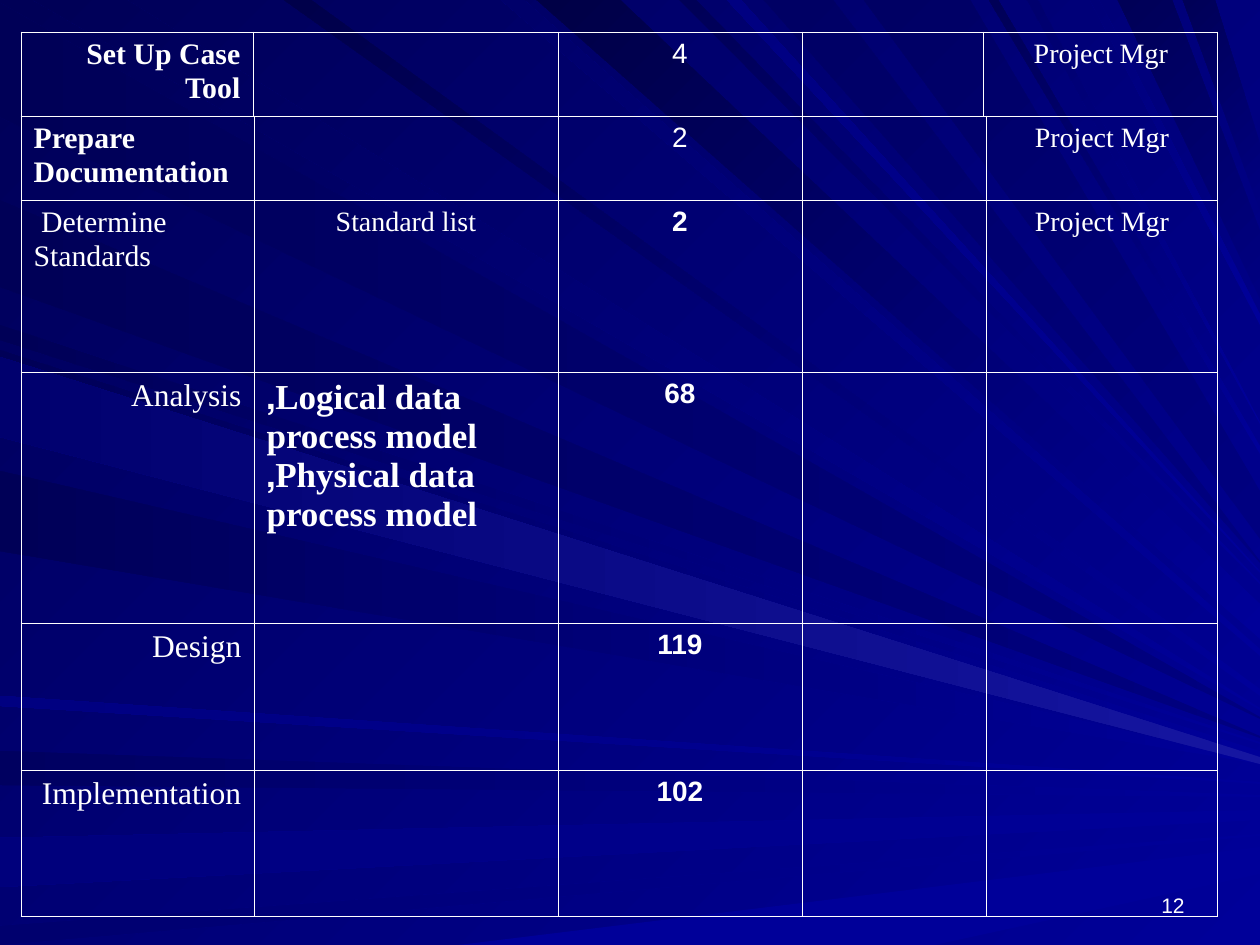
"""Build a project schedule slide with two tables over a field of blue rays."""
from typing import NamedTuple

from lxml import etree
from pptx import Presentation, util as u
from pptx.dml.color import RGBColor
from pptx.enum import text
from pptx.oxml.ns import qn

EMU_PER_PX = 914400 / 126
WIDTH, HEIGHT = 1260, 945
WHITE, BRIGHT, DARK = "FFFFFF", "000099", "000057"
SERIF, SANS = "Times New Roman", "Arial"
LEFT, CENTER, RIGHT = text.PP_ALIGN.LEFT, text.PP_ALIGN.CENTER, text.PP_ALIGN.RIGHT


class Ray(NamedTuple):
    start: int
    end: int
    tip: int
    spread: int = 2
    dark: str = DARK
    bright: str = BRIGHT


class Entry(NamedTuple):
    lines: str
    size: int
    font: str = SERIF
    bold: bool = False
    align: int = CENTER
    right_to_left: bool = False


class Grid(NamedTuple):
    top: int
    columns: tuple
    rows: tuple
    entries: tuple


LEFT_RAYS = (
    Ray(3, 117, 717, bright="000080"),
    Ray(751, 785, 795, dark="000060"),
    Ray(838, 887, 810, 10, "00007C"),
    Ray(926, 945, 834, dark="00006E"),
    Ray(325, 340, 742),
    Ray(200, 287, 736, bright="000080"),
    Ray(350, 431, 751, 8),
    Ray(471, 551, 762),
    Ray(696, 706, 782, dark="000081"),
    Ray(357, 437, 757, 7, "00006E", "1616A1"),
)
TOP_RAYS = (
    Ray(33, 127, 708),
    Ray(501, 524, 649, 7, "00006A"),
    Ray(537, 620, 604, 35, "000046"),
    Ray(680, 696, 582),
    Ray(764, 833, 561, 2, "000064", "000080"),
    Ray(1118, 1172, 231, 68, bright="000080"),
    Ray(1183, 1215, 144, 66, bright="000080"),
    Ray(284, 311, 689, 7, "00004A"),
    Ray(727, 741, 571, dark="000081"),
    Ray(864, 970, 491, 48, "000064", "000080"),
    Ray(989, 998, 446, 8),
    Ray(1027, 1038, 422, dark="00006E"),
    Ray(1090, 1099, 314, 11, "000078"),
)
BOTTOM_RAYS = (Ray(935, 459, 847, 27, BRIGHT),)

MANAGER = Entry("Project Mgr", 16)
TASKS = Grid(116, (233, 304, 244, 184, 232), (84, 172, 251, 147, 146), (
    (Entry(" Prepare\n Documentation", 17, bold=True, align=LEFT, right_to_left=True),
     None, Entry("2", 16, SANS), None, MANAGER),
    (Entry(" Determine\nStandards", 17, align=LEFT),
     Entry("Standard list", 16), Entry("2", 16, SANS, True), None, MANAGER),
    (Entry("Analysis", 18, align=RIGHT),
     Entry("Logical data,\nprocess model\nPhysical data,\nprocess model", 20, bold=True,
           align=LEFT, right_to_left=True),
     Entry("68", 16, SANS, True), None, None),
    (Entry("Design", 18, align=RIGHT), None, Entry("119", 16, SANS, True), None, None),
    (Entry("Implementation", 18, align=RIGHT), None, Entry("102", 16, SANS, True), None, None),
))
SETUP = Grid(32, (232, 305, 244, 182, 234), (84,), (
    (Entry("Set Up Case Tool", 17, bold=True, align=RIGHT),
     None, Entry("4", 16, SANS), None, MANAGER),
))


def px(length: int) -> u.Emu:
    """Turn pixels into EMU."""
    return u.Emu(round(length * EMU_PER_PX))


def color(value: str) -> RGBColor:
    """Turn a hex string into a colour."""
    return RGBColor.from_string(value)


def paint(fill, bright: str, dark: str, angle: int) -> None:
    """Fill with a gradient from bright to dark."""
    fill.gradient()
    fill.gradient_angle = angle
    for stop, value in zip(fill.gradient_stops, (bright, dark)):
        stop.color.rgb = color(value)


def draw_ray(slide, ray: Ray, first: tuple, last: tuple, angle: int) -> None:
    """Draw one ray from two points on an edge to the right edge."""
    builder = slide.shapes.build_freeform(*first, scale=EMU_PER_PX)
    builder.add_line_segments(
        (last, (WIDTH, ray.tip + ray.spread), (WIDTH, ray.tip)), close=True)
    shape = builder.convert_to_shape()
    shape.shadow.inherit = False
    shape.line.fill.background()
    paint(shape.fill, ray.bright, ray.dark, angle)


def draw_rays(slide) -> None:
    """Draw the rays that start at the left, top and bottom edges."""
    for ray in LEFT_RAYS:
        draw_ray(slide, ray, (0, ray.start), (0, ray.end), 180)
    for rays, edge in ((TOP_RAYS, 0), (BOTTOM_RAYS, HEIGHT)):
        for ray in rays:
            draw_ray(slide, ray, (ray.end, edge), (ray.start, edge), 135)


def write(text_frame, entry: Entry) -> None:
    """Write an entry and format its paragraphs."""
    text_frame.text = entry.lines
    for paragraph in text_frame.paragraphs:
        paragraph.alignment = entry.align
        if entry.right_to_left:
            paragraph._p.get_or_add_pPr().set("rtl", "1")
        for run in paragraph.runs:
            run.font.name = entry.font
            run.font.size = u.Pt(entry.size)
            run.font.bold = entry.bold
            run.font.color.rgb = color(WHITE)


def add_borders(cell) -> None:
    """Give a cell thin white borders on all sides."""
    properties = cell._tc.get_or_add_tcPr()
    for side in ("a:lnL", "a:lnR", "a:lnT", "a:lnB"):
        line = etree.SubElement(properties, qn(side), w=str(u.Pt(0.45)))
        fill = etree.SubElement(line, qn("a:solidFill"))
        etree.SubElement(fill, qn("a:srgbClr"), val=WHITE)


def draw_grid(slide, grid: Grid) -> None:
    """Draw one table."""
    table = slide.shapes.add_table(
        len(grid.rows), len(grid.columns), px(21), px(grid.top),
        px(sum(grid.columns)), px(sum(grid.rows))).table
    table.first_row = table.horz_banding = False
    for column, width in zip(table.columns, grid.columns):
        column.width = px(width)
    for row, height, entries in zip(table.rows, grid.rows, grid.entries):
        row.height = px(height)
        for cell, entry in zip(row.cells, entries):
            add_borders(cell)
            cell.fill.background()
            if entry:
                write(cell.text_frame, entry)


def main() -> None:
    """Build and save the slide."""
    presentation = Presentation()
    presentation.slide_width, presentation.slide_height = px(WIDTH), px(HEIGHT)
    slide = presentation.slides.add_slide(presentation.slide_layouts[6])
    paint(slide.background.fill, BRIGHT, DARK, 135)
    draw_rays(slide)
    for grid in (TASKS, SETUP):
        draw_grid(slide, grid)
    number = slide.shapes.add_textbox(px(903), px(861), px(294), px(63)).text_frame
    number.word_wrap = True
    number.vertical_anchor = text.MSO_ANCHOR.BOTTOM
    write(number, Entry("12", 12, SANS, align=RIGHT))
    presentation.save("out.pptx")


if __name__ == "__main__":
    main()
